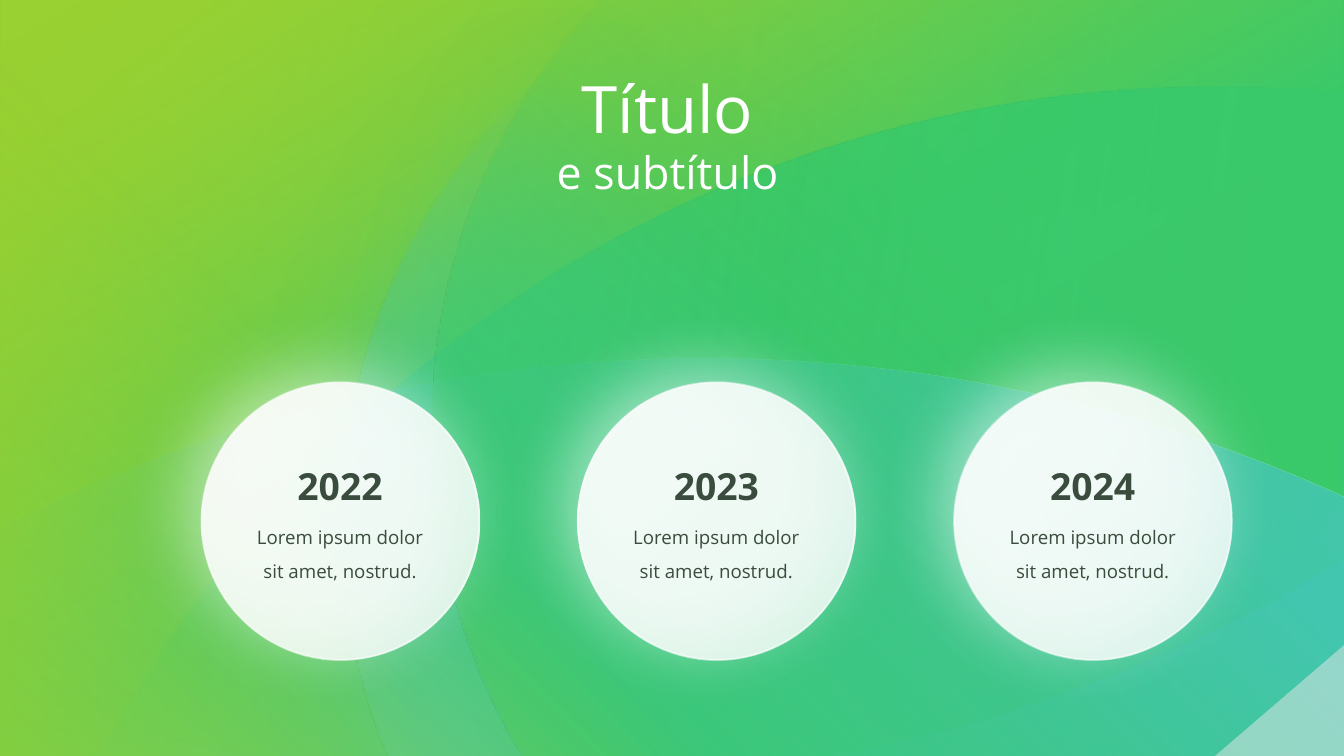
from dataclasses import dataclass
from math import sqrt

from lxml.etree import SubElement
from pptx import Presentation
from pptx.dml.color import RGBColor
from pptx.enum.shapes import MSO_SHAPE
from pptx.enum.text import MSO_ANCHOR, MSO_AUTO_SIZE, PP_ALIGN
from pptx.oxml import parse_xml
from pptx.oxml.ns import nsdecls, qn
from pptx.util import Inches, Pt


@dataclass(frozen=True)
class Theme:
    font: str = "Open Sans"
    teal: str = "45C7B1"
    green: str = "3AC96A"
    lime: str = "99D132"
    white: str = "FFFFFF"
    grey: str = "E8E8E8"
    ink: str = "3A4C3D"
    title: int = 70
    subtitle: int = 48
    year: int = 40
    body: int = 20


T = Theme()
W, H = 20, 11.25


def paint(sp, stops, angle=None, focus=None, shadow=None, line=None):
    """Fill with (position, colour, alpha) stops, along an angle or round a focus
    (l, t, r, b); shadow is (colour, alpha, blur, distance, direction) and
    line is (width, alpha)."""
    sp.fill.background()
    sp.line.fill.background()
    sp.shadow.inherit = False
    pr = sp.element.spPr
    if stops:
        marks = "".join(
            f'<a:gs pos="{pos * 1000}"><a:srgbClr val="{color}">'
            f'<a:alpha val="{alpha * 1000}"/></a:srgbClr></a:gs>'
            for pos, color, alpha in stops)
        if focus:
            sides = " ".join(f'{k}="{v * 1000}"' for k, v in zip("ltrb", focus))
            way = f'<a:path path="circle"><a:fillToRect {sides}/></a:path>'
        else:
            way = f'<a:lin ang="{angle * 60000}" scaled="0"/>'
        pr.replace(pr.find(qn("a:noFill")), parse_xml(
            f'<a:gradFill rotWithShape="1" {nsdecls("a")}>'
            f'<a:gsLst>{marks}</a:gsLst>{way}</a:gradFill>'))
    if line:
        width, alpha = line
        sp.line.color.rgb = RGBColor.from_string(T.white)
        sp.line.width = Pt(width)
        color = pr.find(".//" + qn("a:ln")).find(".//" + qn("a:srgbClr"))
        SubElement(color, qn("a:alpha"), val=str(alpha * 1000))
    if shadow:
        color, alpha, blur, distance, direction = shadow
        pr.find(qn("a:effectLst")).append(parse_xml(
            f'<a:outerShdw {nsdecls("a")} blurRad="{Pt(blur)}" dist="{Pt(distance)}" '
            f'dir="{direction * 60000}" algn="ctr" rotWithShape="0">'
            f'<a:srgbClr val="{color}"><a:alpha val="{alpha * 1000}"/></a:srgbClr>'
            f'</a:outerShdw>'))


def write(sp, box, text, size, color, bold=False, spacing=1.0):
    sp.left, sp.top, sp.width, sp.height = map(Inches, box)
    tf = sp.text_frame
    tf.word_wrap = True
    tf.auto_size = MSO_AUTO_SIZE.SHAPE_TO_FIT_TEXT
    tf.vertical_anchor = MSO_ANCHOR.TOP
    p = tf.paragraphs[0]
    p.text = text
    p.alignment = PP_ALIGN.CENTER
    p.line_spacing = spacing
    p.space_before = Pt(0)
    p.font.name, p.font.size, p.font.bold = T.font, Pt(size), bold
    p.font.color.rgb = RGBColor.from_string(color)


prs = Presentation()
prs.slide_width, prs.slide_height = Inches(W), Inches(H)
s = prs.slides.add_slide(prs.slide_layouts[0])
shapes = s.shapes

# Background gradient
sp = shapes.add_shape(MSO_SHAPE.RECTANGLE, 0, 0, Inches(W), Inches(H))
paint(sp, [(14, T.teal, 100), (51, T.green, 100), (90, T.lime, 100)], angle=240)

# Bands between a slide edge and a circular arc:
# edge y, arc centre, radius, side of the arc, gradient angle, stops
bands = [
    (0, 8.1, -11.39, 23.04, 1, 188, [(11, T.green, 100), (100, T.green, 19)]),
    (0, 18.1, 20.15, 18.85, -1, 60, [(3, T.lime, 100), (57, T.lime, 0)]),
    (H, 10.47, 28.37, 23.04, -1, 210, [(0, T.teal, 100), (100, T.teal, 0)]),
]
STEPS = 80
for edge, cx, cy, radius, side, angle, stops in bands:
    xs = [W * i / STEPS for i in range(STEPS, -1, -1)]
    arc = [(x, min(H, cy + side * sqrt(radius ** 2 - (x - cx) ** 2))) for x in xs]
    outline = [(Inches(x), Inches(y)) for x, y in [(W, edge), *arc]]
    builder = shapes.build_freeform(0, Inches(edge))
    builder.add_line_segments(outline)
    paint(builder.convert_to_shape(), stops, angle=angle)

# Large translucent discs
discs = [
    (5.12, -1.22, 18.06, 18.13, 303.3, T.teal),
    (6.44, -2.98, 18.7, 18.78, 162.4, T.green),
    (-7.46, -5.87, 20.57, 20.65, 90, T.lime),
]
for *box, rotation, color in discs:
    sp = shapes.add_shape(MSO_SHAPE.OVAL, *map(Inches, box))
    sp.rotation = rotation
    paint(sp, [(0, color, 100), (52, color, 0)], focus=(0, 100, 100, 0),
          shadow=(color, 100, 100, 0, 0))

# Year circles: soft halos first, then the cards
years = ["2022", "2023", "2024"]
lefts = [3 + 5.6 * i for i in range(len(years))]
TOP, SIZE = 5.69, 4.13
for left in lefts:
    sp = shapes.add_shape(MSO_SHAPE.OVAL, Inches(left), Inches(TOP), Inches(SIZE), Inches(SIZE))
    sp.rotation = 205.6
    paint(sp, None, shadow=(T.white, 87, 57, 0, 0), line=(50, 100))
    SubElement(sp.element.spPr.find(qn("a:effectLst")), qn("a:softEdge"), rad=str(Pt(50)))

for left, year in zip(lefts, years):
    sp = shapes.add_shape(MSO_SHAPE.OVAL, Inches(left), Inches(TOP), Inches(SIZE), Inches(SIZE))
    paint(sp, [(0, T.white, 79), (100, T.white, 92)], focus=(100, 100, 0, 0),
          shadow=(T.white, 56, 73, 22, 220), line=(2.25, 51))
    group = shapes.add_group_shape()
    for top, height, text, size, bold, spacing in [
        (7.61, 1.05, "Lorem ipsum dolor sit amet, nostrud.", T.body, False, 1.5),
        (6.84, 0.77, year, T.year, True, 1.0),
    ]:
        sp = group.shapes.add_textbox(0, 0, 0, 0)
        write(sp, (left + 0.54, top, 3.04, height), text, size, T.ink, bold, spacing)
        group.left, group.top = Inches(left + 0.54), Inches(6.84)
        group.width, group.height = Inches(3.04), Inches(1.82)
    xfrm = group.element.grpSpPr.find(qn("a:xfrm"))
    for name, keys, source in [("a:chOff", "xy", (group.left, group.top)),
                               ("a:chExt", ("cx", "cy"), (group.width, group.height))]:
        for key, value in zip(keys, source):
            xfrm.find(qn(name)).set(key, str(value))

# Corner triangle
sp = shapes.add_shape(MSO_SHAPE.ISOSCELES_TRIANGLE, Inches(18.08), Inches(9.6),
                      Inches(1.92), Inches(1.65))
sp.adjustments[0] = 1
paint(sp, [(0, T.grey, 50), (100, T.grey, 50)], angle=0)

# Title and subtitle, brought to the front
title, subtitle = shapes.title, s.placeholders[1]
write(title, (1.29, 0.97, 17.29, 1.28), "Título", T.title, T.white)
write(subtitle, (1.29, 2.1, 17.29, 0.91), "e subtítulo", T.subtitle, T.white)
for sp in (title, subtitle):
    shapes.element.append(sp.element)

prs.save("out.pptx")
